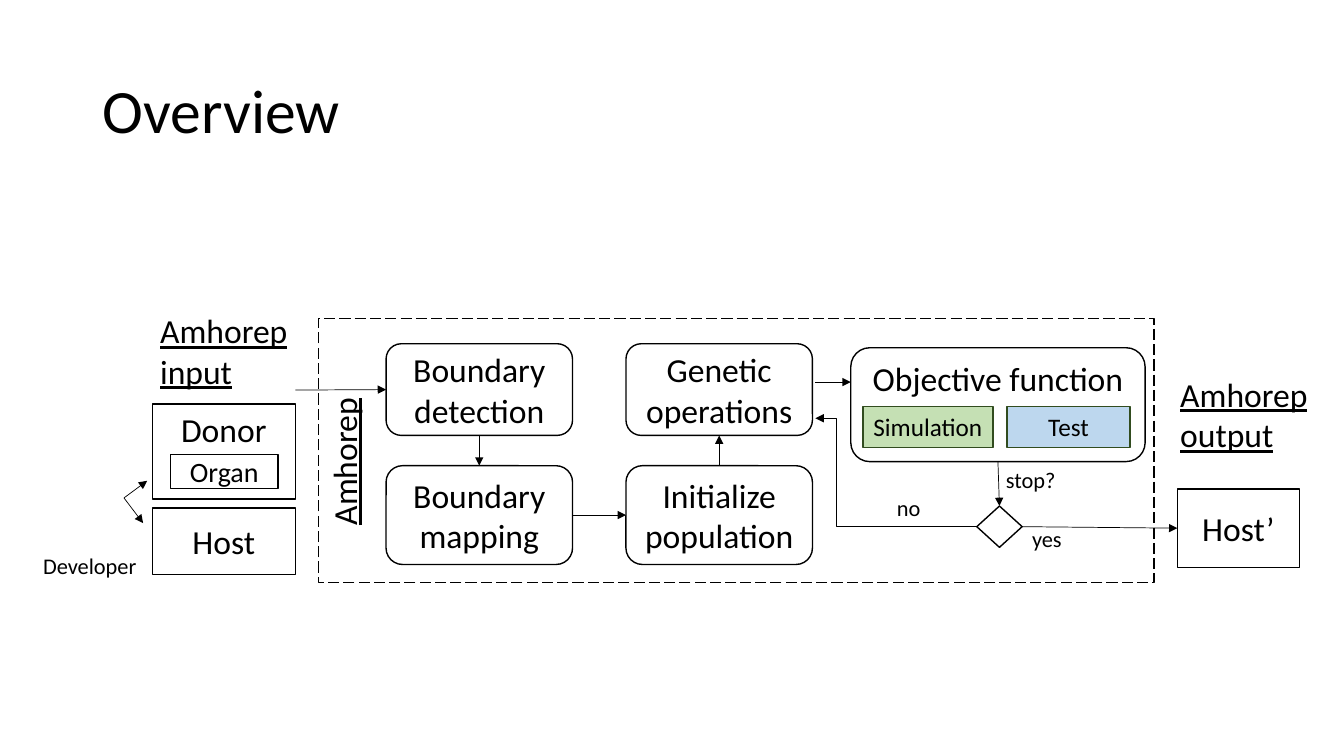
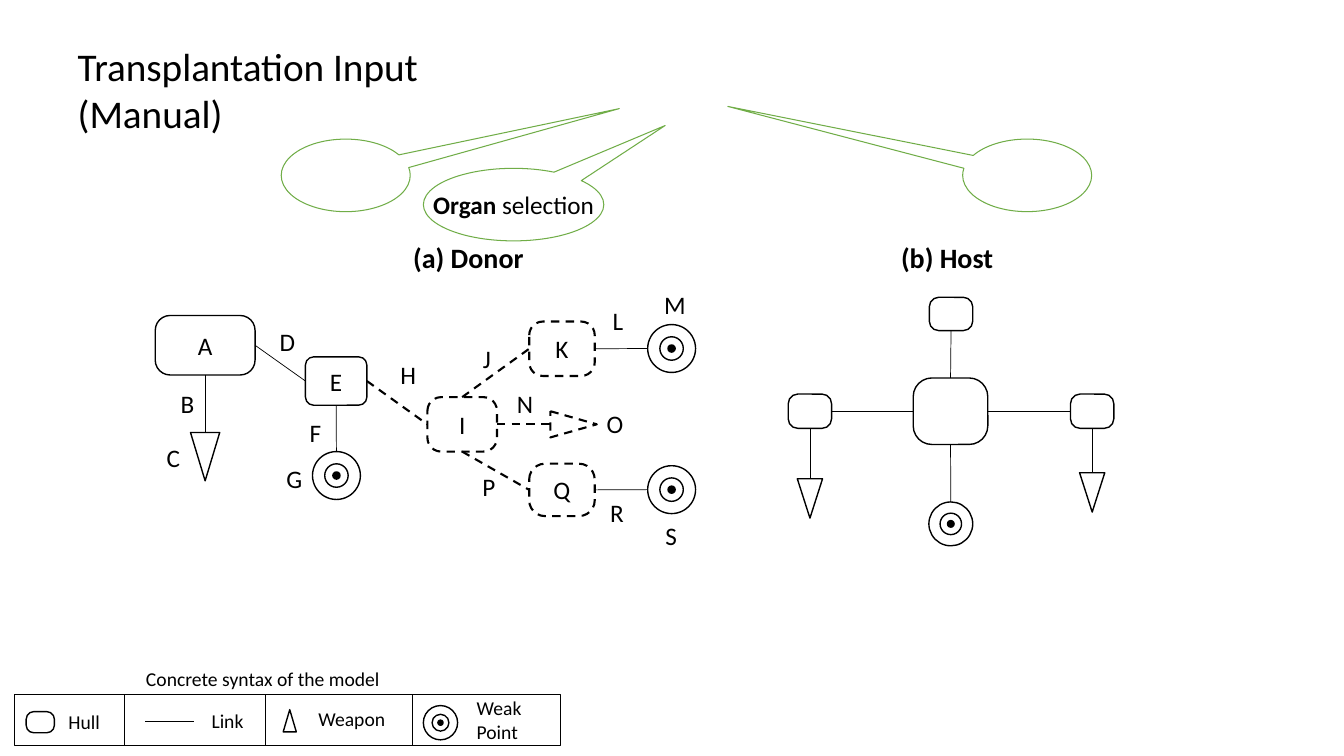
import pptx
import pptx.util
import pptx.dml.color
import pptx.enum.dml
import pptx.enum.shapes
import pptx.enum.text
import pptx.oxml
import pptx.oxml.ns

KIND = pptx.enum.shapes.MSO_SHAPE
WIRE = pptx.enum.shapes.MSO_CONNECTOR
DASH = pptx.enum.dml.MSO_LINE
ALIGN = pptx.enum.text.PP_ALIGN
ANCHOR = pptx.enum.text.MSO_ANCHOR
FIT = pptx.enum.text.MSO_AUTO_SIZE

FONT = "Calibri"
INK, PAPER = "000000", "FFFFFF"
GREEN, BLUE, MOSS, LEAF = "C5E0B4", "BDD7EE", "314C1F", "70AD47"
TOOL = "Amhorep"
THIN, FINE = 0.5, 0.75
DASHED = {"width": 1.5, "dash": DASH.DASH}


def cell(count):
    """Length of a number of grid cells, ten to the inch."""
    return pptx.util.Inches(count / 10)


def hue(code):
    return pptx.dml.color.RGBColor.from_string(code)


def node(tag, **attrs):
    item = pptx.oxml.parse_xml(f"<a:{tag} {pptx.oxml.ns.nsdecls('a')}/>")
    for key, value in attrs.items():
        item.set(key, value)
    return item


def write(shape, text, size=18, bold=False, under=False, align=ALIGN.LEFT,
          anchor=ANCHOR.TOP, wrap=True, grow=False, lead=1, start=0):
    """Text is a string, or a list of (string, bold) runs; a line break starts a paragraph."""
    frame = shape.text_frame
    frame.word_wrap = wrap
    frame.vertical_anchor = anchor
    frame.auto_size = FIT.SHAPE_TO_FIT_TEXT if grow else FIT.NONE
    rows = [[(row, bold)] for row in text.split("\n")] if isinstance(text, str) else [text]
    for index, row in enumerate(rows):
        para = frame.add_paragraph() if index else frame.paragraphs[0]
        para.alignment = align
        para.line_spacing = lead
        if start:
            para._p.get_or_add_pPr().set("marL", str(cell(start)))
        for part, heavy in row:
            run = para.add_run()
            run.text = part
            font = run.font
            font.name, font.size, font.bold = FONT, pptx.util.Pt(size), heavy
            font.underline = under
            font.color.rgb = hue(INK)


def stroke(line, color, width, dash):
    line.color.rgb = hue(color)
    line.width = pptx.util.Pt(width)
    if dash:
        line.dash_style = dash


def edge(box, side):
    """Middle point of one side (l, r, t, b) of a box."""
    x, y, w, h = box
    across, down = {"l": (0, 0.5), "r": (1, 0.5), "t": (0.5, 0), "b": (0.5, 1)}[side]
    return x + w * across, y + h * down


class Area:
    """A region of a slide; its parts are placed in cells from its corner."""

    def __init__(self, slide, left, top):
        self.pool, self.left, self.top = slide.shapes, left, top

    def spot(self, x, y):
        return cell(self.left + x), cell(self.top + y)

    def shape(self, kind, box, fill=PAPER, color=INK, width=1, dash=None, adj=(), turn=0):
        x, y, w, h = box
        item = self.pool.add_shape(kind, *self.spot(x, y), cell(w), cell(h))
        item.shadow.inherit = False
        if fill:
            item.fill.solid()
            item.fill.fore_color.rgb = hue(fill)
        else:
            item.fill.background()
        stroke(item.line, color, width, dash)
        for index, value in enumerate(adj):
            item.adjustments[index] = value
        item.rotation = turn
        return item

    def block(self, kind, box, text, size=24, anchor=ANCHOR.MIDDLE, wrap=True, **look):
        item = self.shape(kind, box, **look)
        write(item, text, size=size, align=ALIGN.CENTER, anchor=anchor, wrap=wrap)
        return box

    def label(self, x, y, w, text, h=4, wrap=False, **style):
        item = self.pool.add_textbox(*self.spot(x, y), cell(w), cell(h))
        write(item, text, wrap=wrap, grow=True, **style)

    def line(self, a, b, tip=False, bend=None, width=THIN, dash=None):
        kind = WIRE.ELBOW if bend else WIRE.STRAIGHT
        item = self.pool.add_connector(kind, *self.spot(*a), *self.spot(*b))
        stroke(item.line, INK, width, dash)
        props = item._element.spPr
        if tip:
            item.line._get_or_add_ln().append(node("tailEnd", type="triangle"))
        if bend:
            guide = node("gd", name="adj1", fmla=f"val {round(bend * 100000)}")
            props.prstGeom.get_or_add_avLst().append(guide)
        props.append(node("effectLst"))

    def arrow(self, a, b, **look):
        self.line(a, b, tip=True, **look)

    def target(self, x, y, size):
        """Weak point: a dot in two rings."""
        for share, fill in ((1, PAPER), (0.49, PAPER), (0.15, INK)):
            d, gap = size * share, size * (1 - share) / 2
            self.shape(KIND.OVAL, (x + gap, y + gap, d, d), fill=fill)
        return x, y, size, size

    def weapon(self, box, turn=180, **look):
        self.shape(KIND.ISOSCELES_TRIANGLE, box, turn=turn, **look)
        return box

    def hull(self, box, text=None, curve=0.25, **look):
        item = self.shape(KIND.ROUNDED_RECTANGLE, box, adj=(curve,), **look)
        if text:
            write(item, text, align=ALIGN.CENTER, anchor=ANCHOR.MIDDLE)
        return box


def page(deck, title, box, **style):
    slide = deck.slides.add_slide(deck.slide_layouts[5])
    head = slide.shapes.title
    head.left, head.top, head.width, head.height = map(cell, box)
    write(head, title, **style)
    return slide


def inputs(slide, left, top):
    area = Area(slide, left, top)
    area.label(11.6, 0, 15.9, f"{TOOL} input", h=9.1, wrap=True, size=24, under=True)
    area.block(KIND.RECTANGLE, (11.8, 9.8, 14.2, 9.4), "Donor", anchor=ANCHOR.TOP)
    area.block(KIND.RECTANGLE, (13.6, 14.8, 10.7, 3.4), "Organ", size=20)
    area.block(KIND.RECTANGLE, (11.8, 20.1, 14.2, 6.6), "Host")
    area.label(0, 24, 11.4, "Developer", size=16)
    for end in ((11.3, 17.4), (10.9, 21.6)):
        area.arrow((9, 19.1), end)


def engine(slide, left, top):
    area = Area(slide, left, top)
    frame = area.shape(KIND.RECTANGLE, (0, 0, 82.9, 26.2), dash=DASH.LONG_DASH)
    write(frame, TOOL, size=24, under=True, start=4.7)
    frame.text_frame._txBody.bodyPr.set("vert", "vert270")

    names = (("Boundary detection", "Boundary mapping"),
             ("Genetic operations", "Initialize population"))
    (find, chart), (breed, seed) = [
        [area.block(KIND.ROUNDED_RECTANGLE, (6.7 + 23.8 * col, y, 18.5, h), name)
         for name, y, h in zip(pair, (2.5, 14.6), (9.1, 9.8))]
        for col, pair in enumerate(names)]
    goal = area.block(KIND.ROUNDED_RECTANGLE, (52.8, 2.9, 29.2, 11.3),
                      "Objective function", anchor=ANCHOR.TOP)
    area.block(KIND.RECTANGLE, (54, 8.7, 12.9, 4.1), "Simulation", size=18,
               fill=GREEN, color=MOSS)
    area.block(KIND.RECTANGLE, (68.3, 8.7, 12.2, 4.1), "Test", size=18,
               fill=BLUE, color=MOSS)
    gate = (65.3, 18.6, 4.5, 4.1)
    area.shape(KIND.DIAMOND, gate)

    area.arrow((-2.3, 7.1), edge(find, "l"))
    area.arrow(edge(find, "b"), edge(chart, "t"))
    area.arrow(edge(chart, "r"), edge(seed, "l"))
    area.arrow(edge(seed, "t"), edge(breed, "b"))
    area.arrow((49.3, 6.3), (goal[0], 6.3))
    area.arrow(edge(goal, "b"), edge(gate, "t"))
    area.arrow(edge(gate, "r"), (85.2, 20.8))
    area.arrow(edge(gate, "l"), (49.3, 9.9), bend=0.87)
    for x, y, w, text in ((67.2, 14.2, 7.2, "stop?"), (69.8, 20, 5, "yes"),
                          (56.4, 16.9, 4.4, "no")):
        area.label(x, y, w, text, size=16)


def outputs(slide, left, top):
    area = Area(slide, left, top)
    area.label(0, 0, 15.9, f"{TOOL} output", h=9.1, wrap=True, size=24, under=True)
    area.block(KIND.RECTANGLE, (0.7, 11.9, 12.1, 7.8), "Host’")


def callouts(slide, left, top):
    area = Area(slide, left, top)
    look = {"fill": None, "color": LEAF, "width": FINE}
    kind = KIND.OVAL_CALLOUT
    area.shape(kind, (0, 0, 12.8, 7.2), adj=(2.12, -0.92), **look)
    area.shape(kind, (67.6, 0, 12.8, 7.2), adj=(-2.32, -0.95), **look)
    area.block(kind, (14.1, 2.9, 17.9, 7.2), [("Organ", True), (" selection", False)],
               size=18, wrap=False, adj=(0.84, -1.09), **look)


def donor(slide, left, top):
    area = Area(slide, left, top)
    area.label(25, 0, 13.1, "(a) Donor", size=20, bold=True)
    a = area.hull((0.4, 7.9, 9.9, 5.9), "A")
    c = area.weapon((3.9, 19.5, 2.9, 4.8))
    e = area.hull((15.3, 12, 6.1, 4.8), "E", curve=0.17)
    g = area.target(16, 21.4, 4.75)
    i = area.hull((27.4, 16, 6.9, 5.4), "I", **DASHED)
    k = area.hull((37.5, 8.5, 6.5, 5.4), "K", **DASHED)
    q = area.hull((37.5, 22.6, 6.5, 5.2), "Q", curve=0.3, **DASHED)
    m = area.target(49.25, 8.8, 4.75)
    s = area.target(49.25, 22.8, 4.75)
    area.weapon((40.6, 16.4, 2.6, 4.6), turn=90, **DASHED)

    for start, end, way in ((a, e, "rl"), (a, c, "bt"), (e, g, "bt"), (k, m, "rl"), (q, s, "rl")):
        area.line(edge(start, way[0]), edge(end, way[1]))
    for start, end in ((edge(e, "r"), edge(i, "l")), (edge(i, "t"), edge(k, "l")),
                       (edge(i, "b"), edge(q, "l")), (edge(i, "r"), (39.6, 18.7))):
        area.line(start, end, **DASHED)

    marks = {"B": (3.6, 14.6), "C": (2.2, 20), "D": (13.5, 8.5), "F": (16.3, 17.5),
             "G": (14.2, 22.1), "H": (25.5, 11.8), "J": (33.3, 10.2), "L": (46.3, 6.4),
             "M": (51.9, 4.8), "N": (37.1, 14.6), "O": (46, 16.6), "P": (33.5, 22.9),
             "R": (46.2, 25.4), "S": (51.6, 27.7)}
    for mark, (middle, y) in marks.items():
        area.label(middle - 2, y, 4, mark, align=ALIGN.CENTER)


def host(slide, left, top):
    area = Area(slide, left, top)
    area.label(10.2, 0, 11.2, "(b) Host", size=20, bold=True)
    core = area.hull((12.4, 14.1, 7.4, 6.6), curve=0.28)
    crown = area.hull((14, 6.1, 4.3, 3.3), curve=0.28)
    west, east = [area.hull((x, 15.7, 4.3, 3.4), curve=0.28) for x in (0, 28)]
    guns = [area.weapon((x, y, 2.5, 3.9)) for x, y in ((0.9, 24.1), (28.9, 23.5))]
    base = area.target(13.95, 26.4, 4.35)
    for start, end, way in ((core, crown, "tb"), (core, west, "lr"), (core, east, "rl"),
                            (core, base, "bt"), (west, guns[0], "bt"), (east, guns[1], "bt")):
        area.line(edge(start, way[0]), edge(end, way[1]))


def legend(slide, left, top):
    area = Area(slide, left, top)
    high = 5.1
    area.label(12.1, -3.2, 25.4, "Concrete syntax of the model", size=14)
    area.shape(KIND.RECTANGLE, (0, 0, 54.2, high), fill=None, width=FINE)
    for x in (10.9, 24.9, 39.5):
        area.line((x, 0), (x, high))
    area.hull((1.2, 1.7, 2.8, 2.1), curve=0.36)
    area.line((13, 2.7), (17.8, 2.7))
    area.weapon((26.7, 1.5, 1.3, 2.2), turn=0)
    area.target(40.6, 1.1, 3.4)
    for x, y, w, text in ((4.4, 1, 6.6, "Hull"), (18.6, 0.9, 7.5, "Link"),
                          (29.2, 0.7, 8.7, "Weapon"), (44.9, -0.3, 8.8, "Weak Point")):
        area.label(x, y, w, text, h=3.4, wrap=True, size=14)


def main():
    deck = pptx.Presentation()
    deck.slide_width, deck.slide_height = cell(133.33), cell(75)

    slide = page(deck, "Overview", (9.2, 4, 115, 14.5), size=44,
                 anchor=ANCHOR.MIDDLE, lead=0.9)
    inputs(slide, 3.3, 30.3)
    engine(slide, 31.6, 31.6)
    outputs(slide, 116.1, 36.6)

    slide = page(deck, "Transplantation Input\n(Manual)", (6.7, 3.7, 37.1, 10.4),
                 size=28, wrap=False)
    callouts(slide, 27.9, 13.8)
    donor(slide, 15, 23.4)
    host(slide, 78.2, 23.4)
    legend(slide, 1.4, 68.9)
    deck.save("out.pptx")


if __name__ == "__main__":
    main()
